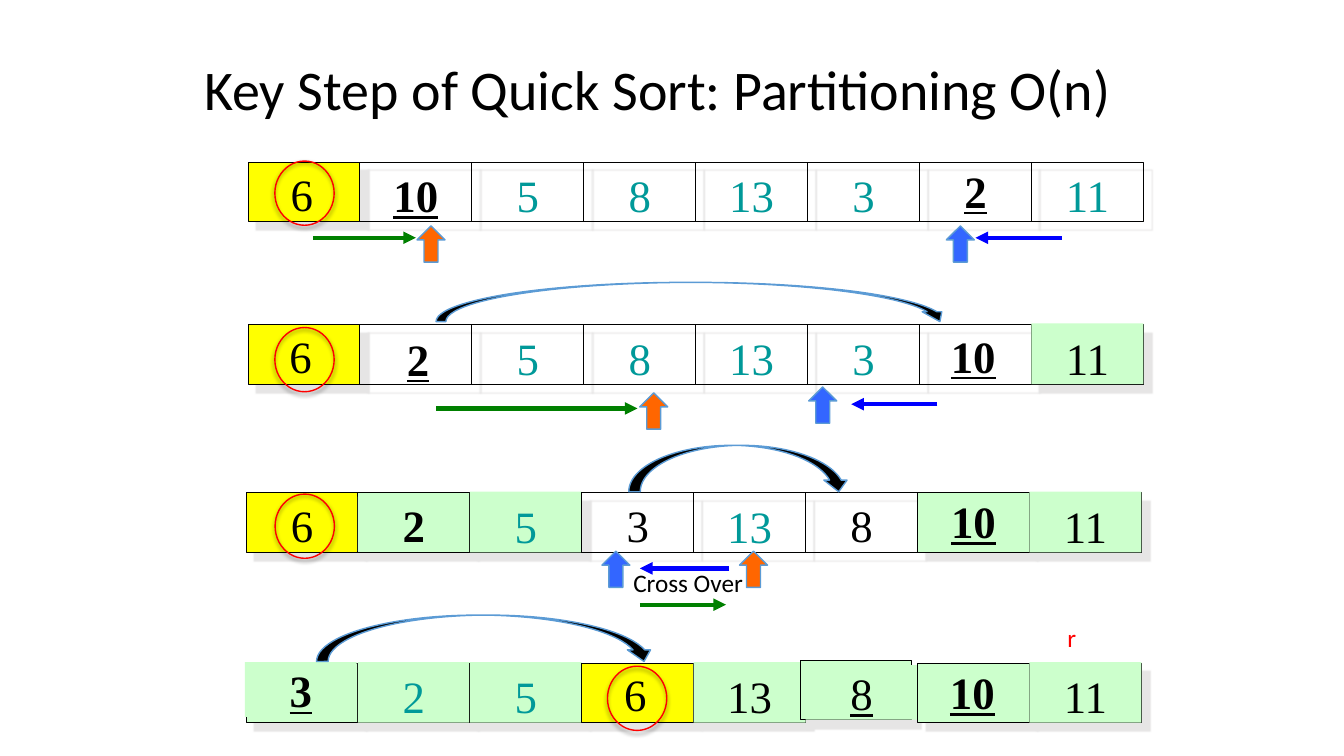
"""Build a slide tracing the partitioning step of quick sort."""
from lxml import etree
from pptx import Presentation
from pptx import util as u
from pptx.dml.color import RGBColor
from pptx.enum import shapes, text
from pptx.oxml import ns

COLORS = {
    "black": "000000", "teal": "009999", "yellow": "FFFF00", "mint": "CCFFCC",
    "red": "FF0000", "green": "008000", "blue": "0000FF", "orange": "FF6600",
    "azure": "3366FF", "edge": "5B9BD5", "gray": "E7E6E6",
}
STYLES = {
    "idle": {"color": "teal"},
    "plain": {"color": "black"},
    "bold": {"bold": True},
    "under": {"underline": True},
    "swap": {"bold": True, "underline": True},
}
FILLS = {"pivot": "yellow", "open": None, "done": "mint", "framed": "mint"}

# value, text style, cell state, text shift in columns, text bottom in cell heights
STEPS = [
    [("6", "plain", "pivot", -0.02, 0.98), ("10", "swap", "open", 0, 1),
     ("5", "idle", "open", 0, 1), ("8", "idle", "open", 0, 1),
     ("13", "idle", "open", 0, 1), ("3", "idle", "open", 0, 1),
     ("2", "swap", "open", 0, 0.92), ("11", "idle", "open", 0, 1)],
    [("6", "plain", "pivot", -0.03, 0.97), ("2", "swap", "open", 0.02, 1.02),
     ("5", "idle", "open", 0, 1), ("8", "idle", "open", 0, 1),
     ("13", "idle", "open", 0, 1), ("3", "idle", "open", 0, 1),
     ("10", "swap", "open", -0.02, 0.97), ("11", "plain", "done", 0, 1)],
    [("6", "plain", "pivot", 0, 0.98), ("2", "bold", "done", 0, 0.98),
     ("5", "idle", "done", 0, 1), ("3", "plain", "open", 0, 0.98),
     ("13", "idle", "open", 0, 1), ("8", "plain", "open", 0, 0.98),
     ("10", "swap", "framed", 0, 0.92), ("11", "plain", "done", 0, 1)],
    [("3", "swap", "done", -0.01, 0.9), ("2", "idle", "done", 0, 1),
     ("5", "idle", "done", 0, 1), ("6", "plain", "pivot", -0.02, 0.97),
     ("13", "plain", "done", 0, 1), ("8", "under", "done", 0, 0.95),
     ("10", "swap", "framed", -0.01, 0.93), ("11", "plain", "done", 0, 1)],
]
CELL_SHIFTS = {(3, 5): (-0.05, -0.05)}

# step, column, height below the top of the step, size in cells
SWAPS = [(1, 1.68, -0.71, 4.59, 0.66), (2, 3.42, -0.8, 1.98, 0.78),
         (3, 0.63, -0.81, 3.03, 0.78)]
POINTERS = [(0, 1.51, 1.07, "orange"), (0, 6.24, 1.07, "azure"),
            (1, 3.5, 1.15, "orange"), (1, 5.01, 1.05, "azure"),
            (2, 3.18, 0.98, "azure"), (2, 4.41, 0.98, "orange")]
SCANS = [(0, 0.58, 1.5, 1.27, "green"), (0, 7.27, 6.5, 1.27, "blue"),
         (1, 1.68, 3.48, 1.41, "green"), (1, 6.16, 5.39, 1.34, "blue"),
         (2, 3.52, 4.29, 1.88, "green"), (2, 4.32, 3.52, 1.27, "blue")]
RINGS = [(0, 0.24, -0.02), (1, 0.24, 0.05), (2, 0.26, 0.02), (3, 3.23, 0.05)]
LABELS = [("Key Step of Quick Sort: Partitioning O(n)", 0, -0.39, -1.81, 8.77, 1.14, 40, "black", True),
          ("Cross Over", 2, 3.46, 1.25, 1, 0.51, 18, "black", False),
          ("r", 3, 7.34, -0.68, 0.18, 0.69, 18, "red", False)]

COL, CELL = 1.11, 0.59
LEFTS = [2.46, 2.46, 2.44, 2.44]
TOPS = [1.61, 3.22, 4.89, 6.58]
CELL_SHADOW = (COLORS["gray"], 100, 1, 8.5, 45)
RING_SHADOW = (COLORS["black"], 50, 3, 2, 90)

prs = Presentation()
prs.slide_width, prs.slide_height = u.Inches(13.33), u.Inches(7.5)
s = prs.slides.add_slide(prs.slide_layouts[6])


def rgb(name):
    return RGBColor.from_string(COLORS[name])


def place(step, col, row):
    return u.Inches(LEFTS[step] + col * COL), u.Inches(TOPS[step] + row * CELL)


def box(step, col, row, width, height):
    return *place(step, col, row), u.Inches(width * COL), u.Inches(height * CELL)


def add_shadow(sp, color, alpha, blur, dist, angle):
    sp.shadow.inherit = False
    effects = sp._element.spPr.find(ns.qn("a:effectLst"))
    shadow = etree.SubElement(
        effects, ns.qn("a:outerShdw"), blurRad=str(u.Pt(blur)),
        dist=str(u.Pt(dist)), dir=str(angle * 60000), algn="ctr", rotWithShape="0")
    tone = etree.SubElement(shadow, ns.qn("a:srgbClr"), val=color)
    etree.SubElement(tone, ns.qn("a:alpha"), val=str(alpha * 1000))


def add_shape(kind, area, fill=None, line="black", width=0.75, shadow=None):
    sp = s.shapes.add_shape(kind, *area)
    sp.shadow.inherit = False
    if fill:
        sp.fill.solid()
        sp.fill.fore_color.rgb = rgb(fill)
    else:
        sp.fill.background()
    sp.line.color.rgb = rgb(line)
    sp.line.width = u.Pt(width)
    if shadow:
        add_shadow(sp, *shadow)


def add_text(words, area, size=32, font="Times New Roman", color="black", bold=False,
             underline=False, fill=None, wrap=True, align="CENTER", anchor="BOTTOM"):
    sp = s.shapes.add_textbox(*area)
    if fill:
        sp.fill.solid()
        sp.fill.fore_color.rgb = rgb(fill)
    tf = sp.text_frame
    tf.word_wrap = wrap
    tf.margin_left = tf.margin_right = tf.margin_top = tf.margin_bottom = 0
    tf.vertical_anchor = text.MSO_ANCHOR[anchor]
    p = tf.paragraphs[0]
    p.alignment = text.PP_ALIGN[align]
    r = p.add_run()
    r.text = words
    r.font.name, r.font.size = font, u.Pt(size)
    r.font.bold, r.font.underline = bold, underline
    r.font.color.rgb = rgb(color)


def add_scan(step, start, end, row, color):
    c = s.shapes.add_connector(shapes.MSO_CONNECTOR.STRAIGHT,
                               *place(step, start, row), *place(step, end, row))
    c.line.color.rgb = rgb(color)
    c.line.width = u.Pt(3)
    etree.SubElement(c.line._get_or_add_ln(), ns.qn("a:tailEnd"), type="triangle")
    etree.SubElement(c._element.spPr, ns.qn("a:effectLst"))


KIND = shapes.MSO_SHAPE
for step, cells in enumerate(STEPS):
    for col, (value, style, state, shift, bottom) in enumerate(cells):
        dx, dy = CELL_SHIFTS.get((step, col), (0, 0))
        add_shape(KIND.RECTANGLE, box(step, col + dx, dy, 1, 1),
                  fill=FILLS[state], shadow=CELL_SHADOW)
        height = 1.02 if style in ("idle", "plain") else 0.92
        add_text(value, box(step, col + shift, bottom - height, 1, height),
                 fill="mint" if state == "done" else None, **STYLES[style])

for words, step, col, row, width, height, size, color, wrap in LABELS:
    add_text(words, box(step, col, row, width, height), size=size, font="Calibri",
             color=color, wrap=wrap, align="LEFT", anchor="TOP")
for scan in SCANS:
    add_scan(*scan)
for swap in SWAPS:
    add_shape(KIND.CURVED_DOWN_ARROW, box(*swap), fill="black", line="edge", width=1)
for step, col, row, color in POINTERS:
    add_shape(KIND.UP_ARROW, box(step, col, row, 0.25, 0.61), fill=color, line="edge", width=1)
for ring in RINGS:
    add_shape(KIND.OVAL, box(*ring, 0.53, 1.08), line="red", width=1, shadow=RING_SHADOW)

prs.save("out.pptx")
